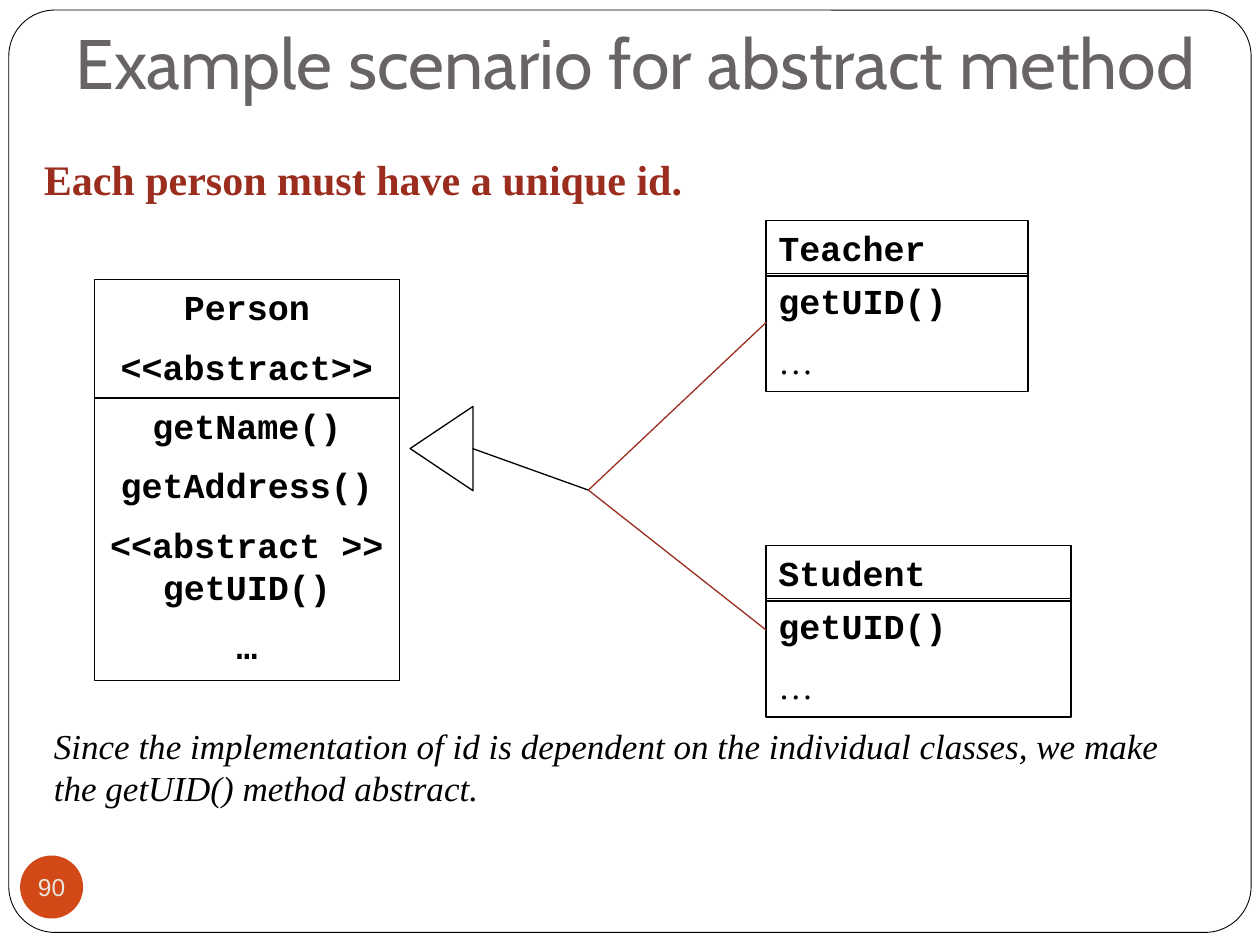
from dataclasses import dataclass

from lxml import etree
from pptx import Presentation
from pptx.dml.color import RGBColor
from pptx.enum.shapes import MSO_CONNECTOR, MSO_SHAPE
from pptx.enum.text import MSO_ANCHOR, PP_ALIGN
from pptx.oxml.ns import qn
from pptx.util import Inches, Pt

LEFT, CENTER = PP_ALIGN.LEFT, PP_ALIGN.CENTER
TOP, MIDDLE, BOTTOM = MSO_ANCHOR.TOP, MSO_ANCHOR.MIDDLE, MSO_ANCHOR.BOTTOM
RECT, ROUND = MSO_SHAPE.RECTANGLE, MSO_SHAPE.ROUNDED_RECTANGLE
OVAL, TRIANGLE = MSO_SHAPE.OVAL, MSO_SHAPE.ISOSCELES_TRIANGLE
STRAIGHT = MSO_CONNECTOR.STRAIGHT


@dataclass(frozen=True)
class Style:
    font: str
    size: int
    color: str
    bold: bool = False
    italic: bool = False


@dataclass(frozen=True)
class Theme:
    black: str = "000000"
    white: str = "FFFFFF"
    red: str = "9B2D1F"
    orange: str = "D34817"
    thin: float = 0.5
    line: float = 0.75
    lead: float = 1.2
    gap: int = 10
    title: Style = Style("Cabin", 40, "696464")
    head: Style = Style("Times New Roman", 24, "9B2D1F", bold=True)
    code: Style = Style("Courier New", 20, "000000", bold=True)
    dots: Style = Style("Times New Roman", 20, "000000")
    note: Style = Style("Times New Roman", 20, "000000", italic=True)
    page: Style = Style("Arial", 14, "E9E5DC")


THEME = Theme()


def inches(box):
    return [Inches(n) for n in box]


def write(shape, rows, align=LEFT, anchor=TOP, pads=(0.1, 0.05, 0.1, 0.05),
          wrap=True, lead=THEME.lead):
    """Fill a shape with rows of (text, style, space before)."""
    frame = shape.text_frame
    frame.word_wrap = wrap
    frame.vertical_anchor = anchor
    (frame.margin_left, frame.margin_top,
     frame.margin_right, frame.margin_bottom) = inches(pads)
    for i, (text, style, gap) in enumerate(rows):
        para = frame.add_paragraph() if i else frame.paragraphs[0]
        para.alignment = align
        para.space_before = Pt(gap if i else 0)
        if lead:
            para.line_spacing = Pt(style.size * lead)
        run = para.add_run()
        run.text = text
        font = run.font
        font.name, font.size = style.font, Pt(style.size)
        font.bold, font.italic = style.bold, style.italic
        font.color.rgb = RGBColor.from_string(style.color)


def draw(slide, kind, box, fill=None, line=None, width=THEME.line):
    shape = slide.shapes.add_shape(kind, *inches(box))
    shape.shadow.inherit = False
    if fill:
        shape.fill.solid()
        shape.fill.fore_color.rgb = RGBColor.from_string(fill)
    else:
        shape.fill.background()
    if line:
        shape.line.color.rgb = RGBColor.from_string(line)
        shape.line.width = Pt(width)
    else:
        shape.line.fill.background()
    return shape


def label(slide, box, text, style, **opts):
    shape = slide.shapes.add_textbox(*inches(box))
    write(shape, [(text, style, 0)], **opts)


def link(slide, start, end, color):
    wire = slide.shapes.add_connector(STRAIGHT, *inches(start + end))
    wire.line.color.rgb = RGBColor.from_string(color)
    wire.line.width = Pt(THEME.line)
    etree.SubElement(wire._element.spPr, qn("a:effectLst"))


def frame(slide, box):
    panel = draw(slide, ROUND, box, THEME.white, THEME.black, THEME.thin)
    panel.adjustments[0] = 0.05


def badge(slide, box, text):
    disc = draw(slide, OVAL, box, THEME.orange)
    write(disc, [(text, THEME.page, 0)], CENTER, MIDDLE, (0, 0, 0, 0),
          wrap=False, lead=None)


def uml(slide, box, split, name, body, align=LEFT, lap=0.0):
    """Class box: name part of height split, body part raised by lap."""
    left, top, width, height = box
    start = split - lap
    parts = ((top, split, name), (top + start, height - start, body))
    for y, tall, rows in parts:
        part = draw(slide, RECT, (left, y, width, tall), line=THEME.black)
        write(part, rows, align)


def code(*texts):
    return [(text, THEME.code, THEME.gap) for text in texts]


def tree(slide, box):
    """Inheritance arrow at the left, branches to both right ends."""
    left, top, width, height = box
    right, base = left + width, top + height
    fork = (left + 1.42, top + 1.33)
    head = draw(slide, TRIANGLE, (left - 0.08, top + 0.75, 0.67, 0.5),
                line=THEME.black)
    head.rotation = 270
    link(slide, (left + 0.5, top + 1), fork, THEME.black)
    for y in (top, base):
        link(slide, fork, (right, y), THEME.red)


def main():
    deck = Presentation()
    deck.slide_width, deck.slide_height = Inches(10), Inches(7.5)
    slide = deck.slides.add_slide(deck.slide_layouts[6])

    frame(slide, (0.07, 0.08, 9.86, 7.32))
    label(slide, (0.5, 0, 9.5, 0.92), "Example scenario for abstract method",
          THEME.title, anchor=BOTTOM, pads=(0.1, 0.05, 0.1, 0.1), lead=None)
    badge(slide, (0.16, 6.79, 0.5, 0.5), "90")
    label(slide, (0.25, 1.17, 6, 0.5), "Each person must have a unique id.",
          THEME.head)

    body = code("getName()", "getAddress()", "<<abstract >>")
    body += [("getUID()", THEME.code, 0)] + code("…")
    uml(slide, (0.75, 2.22, 2.42, 3.18), 0.94,
        code("Person", "<<abstract>>"), body, CENTER)

    for name, top, width in (("Teacher", 1.75, 2.08), ("Student", 4.33, 2.42)):
        uml(slide, (6.08, top, width, 1.36), 0.44, code(name),
            code("getUID()") + [("…", THEME.dots, THEME.gap)], lap=0.02)

    tree(slide, (3.25, 2.56, 2.83, 2.44))
    label(slide, (0.33, 5.7, 9.17, 0.77),
          "Since the implementation of id is dependent on the individual "
          "classes, we make the getUID() method abstract.", THEME.note)
    deck.save("out.pptx")


if __name__ == "__main__":
    main()
